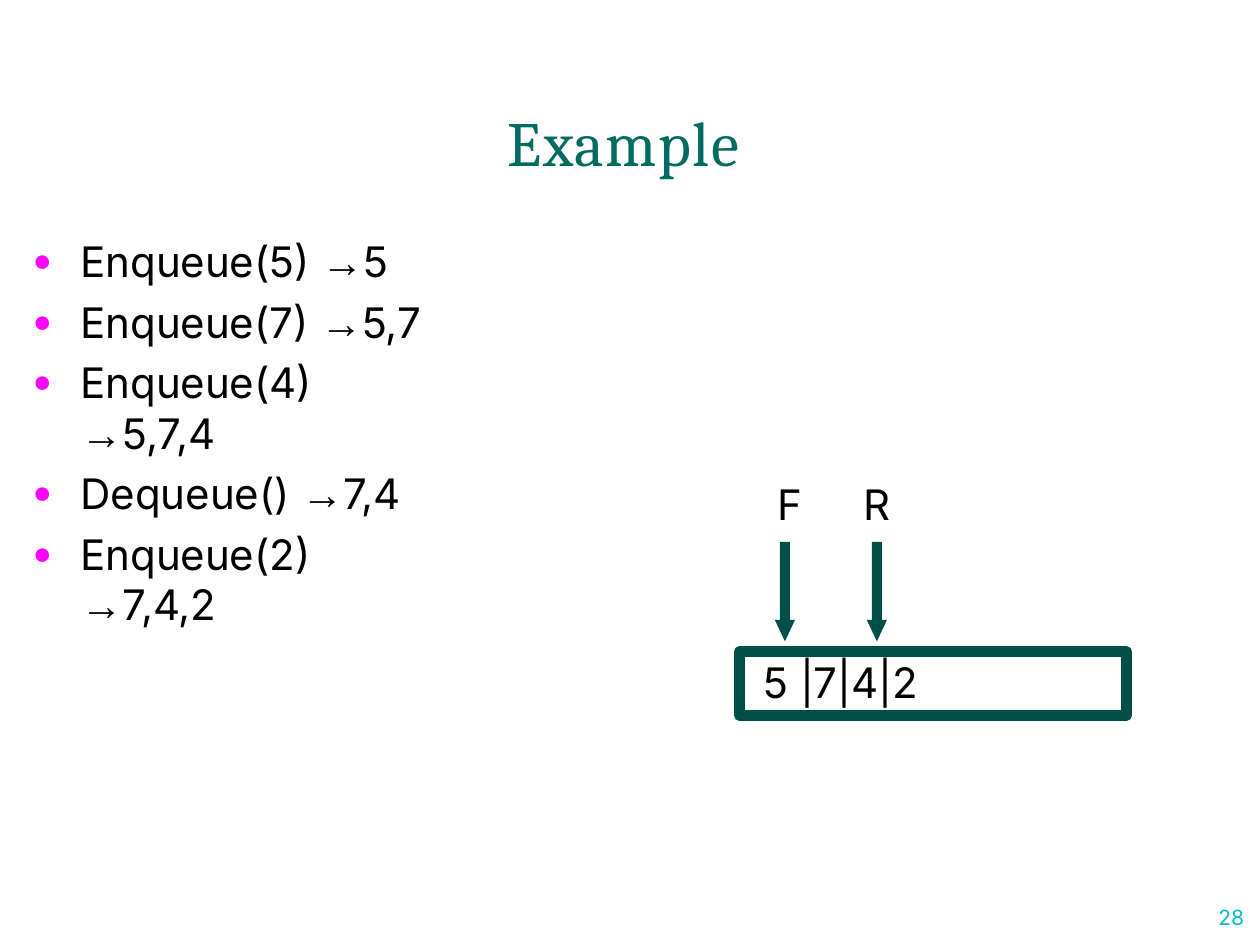
from dataclasses import dataclass

from lxml import etree
from pptx import Presentation
from pptx.dml.color import RGBColor
from pptx.enum.shapes import MSO_SHAPE
from pptx.enum.text import MSO_ANCHOR, PP_ALIGN
from pptx.oxml.ns import qn
from pptx.util import Inches, Pt

LEFT = PP_ALIGN.LEFT
TOP = MSO_ANCHOR.TOP
RECTANGLE = MSO_SHAPE.RECTANGLE


@dataclass(frozen=True)
class Theme:
    title_font: str = "Cambria"
    body_font: str = "Inter"
    arrow_font: str = "Arial"
    title_color: str = "006B60"
    body_color: str = "000000"
    bullet_color: str = "FF00FF"
    queue_color: str = "005048"
    number_color: str = "00C0C0"
    title_size: int = 36
    body_size: int = 24
    number_size: int = 12
    line_width: int = 6


THEME = Theme()
SLIDE_SIZE = (10, 7.5)

TITLE = "Example"
OPERATIONS = [
    ("Enqueue(5) ", "5"),
    ("Enqueue(7) ", "5,7"),
    ("Enqueue(4) ", "5,7,4"),
    ("Dequeue() ", "7,4"),
    ("Enqueue(2) ", "7,4,2"),
]
QUEUE = "5 |7|4|2"
POINTERS = ["F", "R"]
PAGE_NUMBER = "28"

TITLE_AREA = (4.02, 0.8, 1.97, 0.63)
LIST_AREA = (0.25, 1.78, 3.31, 2.43)
QUEUE_AREA = (5.87, 5.17, 3.07, 0.51)
POINTER_AREA = (6.16, 3.78, 0.93, 0.43)
NUMBER_AREA = (9.63, 7.18, 0.27, 0.21)
POINTER_TAB = 0.68
ARROW_CENTER, ARROW_GAP = 6.23, 0.73
ARROW_TOP, ARROW_NECK, ARROW_TIP = 4.3, 4.92, 5.09
SHAFT_HALF, HEAD_HALF = 0.04, 0.08


def add_element(parent, tag, **attributes):
    return etree.SubElement(parent, qn(tag), {key: str(value) for key, value in attributes.items()})


def set_frame(box, top_inset=0.0):
    frame = box.text_frame
    frame.word_wrap = True
    frame.vertical_anchor = TOP
    frame.margin_left = frame.margin_right = frame.margin_bottom = 0
    frame.margin_top = Inches(top_inset)
    return frame


def add_text_box(page, area, top_inset=0.0):
    return set_frame(page.shapes.add_textbox(*map(Inches, area)), top_inset)


def set_layout(para, before=0, indent=0.01, hanging=0):
    para.alignment = LEFT
    para.space_before = Pt(before)
    properties = para._p.get_or_add_pPr()
    properties.set("marL", str(Inches(indent)))
    properties.set("indent", str(-Inches(hanging)))
    return properties


def set_font(para, name=THEME.body_font, size=THEME.body_size, color=THEME.body_color, spacing=-0.05):
    font = para.font
    font.name, font.size = name, Pt(size)
    font.color.rgb = RGBColor.from_string(color)
    font._element.set("spc", str(round(spacing * 100)))


def add_bullet(properties):
    add_element(add_element(properties, "a:buClr"), "a:srgbClr", val=THEME.bullet_color)
    add_element(properties, "a:buSzPct", val=75000)
    add_element(properties, "a:buFont", typeface=THEME.arrow_font)
    add_element(properties, "a:buChar", char="●")


def add_operations(page):
    frame = add_text_box(page, LIST_AREA, 0.09)
    for index, (call, state) in enumerate(OPERATIONS):
        para = frame.add_paragraph() if index else frame.paragraphs[0]
        add_bullet(set_layout(para, 5.8 if index else 6.8, 0.39, 0.38))
        set_font(para)
        for words, name in [(call, THEME.body_font), ("→", THEME.arrow_font), (state, THEME.body_font)]:
            span = para.add_run()
            span.text = words
            span.font.name = name


def add_queue(page):
    box = page.shapes.add_shape(RECTANGLE, *map(Inches, QUEUE_AREA))
    box.shadow.inherit = False
    box.fill.background()
    box.line.color.rgb = RGBColor.from_string(THEME.queue_color)
    box.line.width = Pt(THEME.line_width)
    para = set_frame(box, 0.04).paragraphs[0]
    para.text = QUEUE
    set_layout(para, 3.2, 0.19)
    set_font(para)


def add_arrow(page, center):
    half = [(SHAFT_HALF, ARROW_TOP), (SHAFT_HALF, ARROW_NECK), (HEAD_HALF, ARROW_NECK)]
    right = [(center + offset, y) for offset, y in half]
    left = [(center - offset, y) for offset, y in reversed(half)]
    points = [tuple(map(Inches, point)) for point in [*right, (center, ARROW_TIP), *left]]
    builder = page.shapes.build_freeform(*points[0])
    builder.add_line_segments(points[1:], close=True)
    arrow = builder.convert_to_shape()
    arrow.shadow.inherit = False
    arrow.fill.solid()
    arrow.fill.fore_color.rgb = RGBColor.from_string(THEME.queue_color)
    arrow.line.fill.background()


def add_pointers(page):
    for index in range(len(POINTERS)):
        add_arrow(page, ARROW_CENTER + index * ARROW_GAP)
    para = add_text_box(page, POINTER_AREA, 0.02).paragraphs[0]
    para.add_run().text = "\t".join(POINTERS)
    properties = set_layout(para, 1)
    properties.set("defTabSz", str(Inches(POINTER_TAB)))
    tabs = add_element(properties, "a:tabLst")
    add_element(tabs, "a:tab", pos=Inches(POINTER_TAB), algn="l")
    set_font(para)


def add_title(page):
    para = add_text_box(page, TITLE_AREA, 0.02).paragraphs[0]
    para.text = TITLE
    set_layout(para, 1)
    set_font(para, THEME.title_font, THEME.title_size, THEME.title_color, 0.9)


def add_page_number(page):
    para = add_text_box(page, NUMBER_AREA).paragraphs[0]
    para.text = PAGE_NUMBER
    para.line_spacing = Pt(14.2)
    set_layout(para, indent=0.04)
    set_font(para, size=THEME.number_size, color=THEME.number_color)


def main():
    deck = Presentation()
    deck.slide_width, deck.slide_height = map(Inches, SLIDE_SIZE)
    page = deck.slides.add_slide(deck.slide_layouts[6])
    for add_part in (add_title, add_operations, add_queue, add_pointers, add_page_number):
        add_part(page)
    deck.save("out.pptx")


if __name__ == "__main__":
    main()
